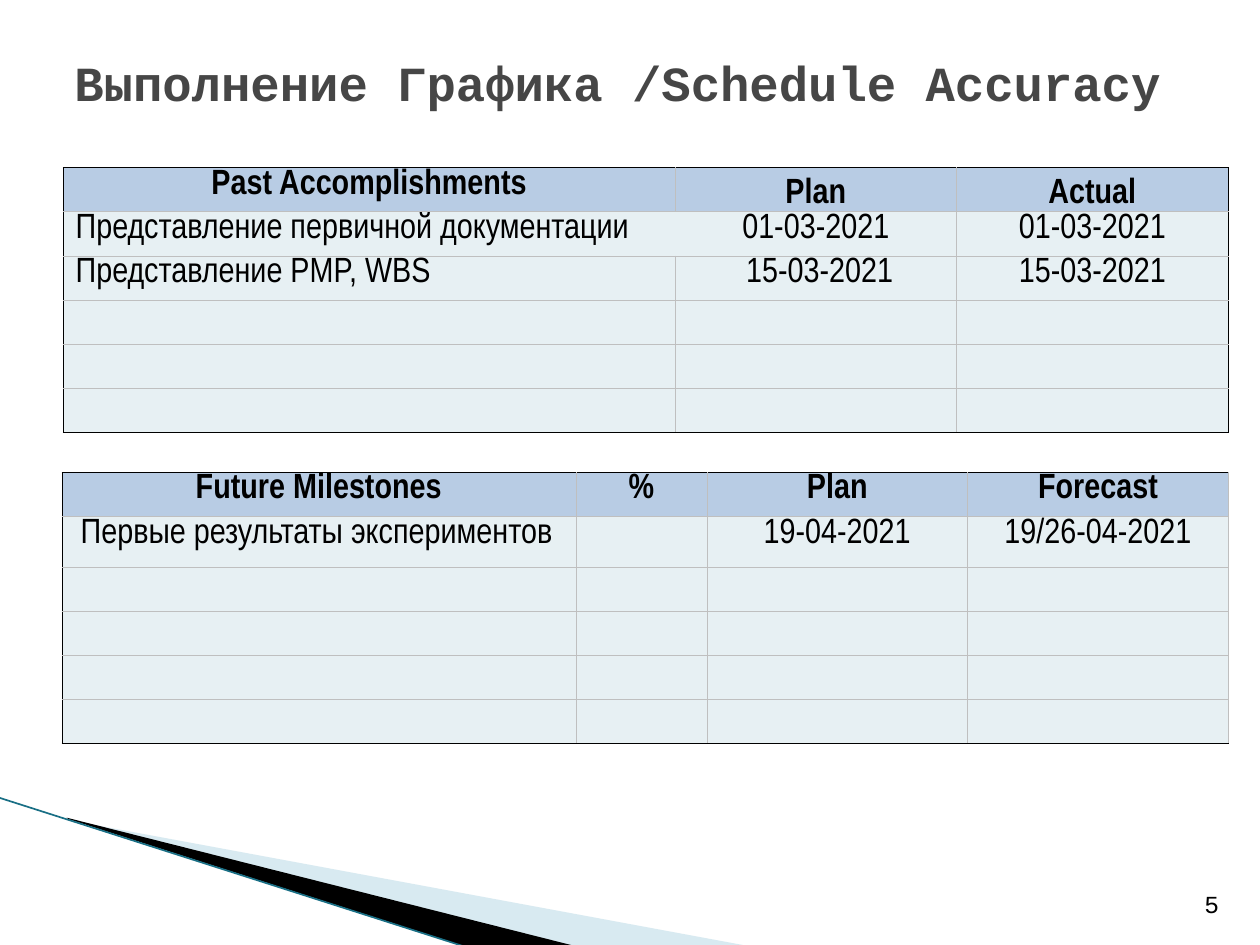
from dataclasses import dataclass

from lxml import etree
from pptx import Presentation
from pptx import util as u
from pptx.dml.color import RGBColor
from pptx.enum import shapes, text
from pptx.oxml.ns import qn

PX = 9144  # EMU in one px, 100 px to the inch


@dataclass(frozen=True)
class Theme:
    title: str = "464646"
    ink: str = "000000"
    grid: str = "BFBFBF"
    header_fill: str = "B8CCE4"
    body_fill: str = "E7F0F3"
    pale_wedge: str = "9FCBDC"
    wedge_edge: str = "196F85"
    title_font: str = "Courier New"
    table_font: str = "Arial Narrow"
    title_size: int = 28
    table_size: int = 20
    number_size: int = 14
    grid_width: float = 0.23
    edge_width: float = 0.96


THEME = Theme()
LEFT, CENTER = text.PP_ALIGN.LEFT, text.PP_ALIGN.CENTER
TOP, BOTTOM = text.MSO_ANCHOR.TOP, text.MSO_ANCHOR.BOTTOM


@dataclass(frozen=True)
class Entry:
    wording: str = ""
    align: text.PP_ALIGN = CENTER
    anchor: text.MSO_ANCHOR = TOP
    indent: int = 0


@dataclass(frozen=True)
class Schedule:
    left: int
    top: int
    columns: list[int]
    heights: list[int]
    entries: list[list[Entry]]
    right_edge: str
    open_joint: tuple[int, int] | None = None  # (row, column) with no line on its right


@dataclass(frozen=True)
class Wedge:
    points: list[tuple[int, int]]
    color: str
    opacity: int = 100


WEDGES = [
    Wedge([(55, 651), (595, 751), (456, 751), (55, 650)], THEME.pale_wedge, 40),
    Wedge([(53, 649), (457, 751), (372, 752), (54, 650)], THEME.ink),
]

ACCOMPLISHMENTS = Schedule(
    50, 133, [486, 223, 216], [35] * 6,
    [
        [Entry("Past Accomplishments"), Entry("Plan", anchor=BOTTOM), Entry("Actual", anchor=BOTTOM)],
        [Entry("Представление первичной документации", LEFT), Entry("01-03-2021"), Entry("01-03-2021")],
        [Entry("Представление PMP, WBS", LEFT), Entry("15-03-2021", indent=6), Entry("15-03-2021")],
    ],
    right_edge=THEME.ink, open_joint=(1, 0),
)

MILESTONES = Schedule(
    49, 375, [408, 104, 207, 207], [35, 40, 35, 35, 35, 35],
    [
        [Entry("Future Milestones"), Entry("%"), Entry("Plan"), Entry("Forecast")],
        [Entry("Первые результаты экспериментов", LEFT, indent=5), Entry(),
         Entry("19-04-2021"), Entry("19/26-04-2021")],
    ],
    right_edge=THEME.grid,
)


def rgb(color: str) -> RGBColor:
    return RGBColor.from_string(color)


def style_text(paragraph, font: str, size: int, color: str, bold: bool = False) -> None:
    for run in paragraph.runs:
        run.font.name, run.font.size, run.font.bold = font, u.Pt(size), bold
        run.font.color.rgb = rgb(color)


def set_border(cell, side: str, color: str | None) -> None:
    line = etree.SubElement(cell._tc.get_or_add_tcPr(), qn(f"a:ln{side}"),
                            w=str(int(u.Pt(THEME.grid_width))))
    if color is None:
        etree.SubElement(line, qn("a:noFill"))
    else:
        fill = etree.SubElement(line, qn("a:solidFill"))
        etree.SubElement(fill, qn("a:srgbClr"), val=color)


def add_wedge(slide, wedge: Wedge) -> None:
    start, *rest = wedge.points
    builder = slide.shapes.build_freeform(*start, scale=PX)
    builder.add_line_segments(rest, close=True)
    shape = builder.convert_to_shape()
    shape.shadow.inherit = False
    shape.line.fill.background()
    shape.fill.solid()
    shape.fill.fore_color.rgb = rgb(wedge.color)
    if wedge.opacity < 100:
        color = shape._element.spPr.find(f"{qn('a:solidFill')}/{qn('a:srgbClr')}")
        etree.SubElement(color, qn("a:alpha"), val=str(wedge.opacity * 1000))


def add_wedge_edge(slide) -> None:
    edge = slide.shapes.add_connector(shapes.MSO_CONNECTOR.STRAIGHT,
                                      -1 * PX, 633 * PX, 371 * PX, 752 * PX)
    edge.line.color.rgb = rgb(THEME.wedge_edge)
    edge.line.width = u.Pt(THEME.edge_width)
    etree.SubElement(edge._element.spPr, qn("a:effectLst"))


def fill_cell(cell, entry: Entry, is_header: bool) -> None:
    cell.fill.solid()
    cell.fill.fore_color.rgb = rgb(THEME.header_fill if is_header else THEME.body_fill)
    cell.margin_left, cell.margin_right = (10 + entry.indent) * PX, 10 * PX
    cell.margin_top = cell.margin_bottom = 2 * PX
    cell.vertical_anchor = entry.anchor
    if entry.wording:
        paragraph = cell.text_frame.paragraphs[0]
        paragraph.text = entry.wording
        paragraph.alignment = entry.align
        paragraph.line_spacing = 0.91
        paragraph.space_before = u.Pt(9)
        style_text(paragraph, THEME.table_font, THEME.table_size, THEME.ink, is_header)


def add_schedule(slide, schedule: Schedule) -> None:
    rows, columns = len(schedule.heights), len(schedule.columns)
    table = slide.shapes.add_table(
        rows, columns, schedule.left * PX, schedule.top * PX,
        sum(schedule.columns) * PX, sum(schedule.heights) * PX).table
    for column, width in zip(table.columns, schedule.columns):
        column.width = width * PX
    for row, height in zip(table.rows, schedule.heights):
        row.height = height * PX

    blank_rows = [[Entry()] * columns] * (rows - len(schedule.entries))
    for r, entries in enumerate(schedule.entries + blank_rows):
        for c, entry in enumerate(entries):
            borders = {
                "L": THEME.ink if c == 0 else THEME.grid,
                "R": schedule.right_edge if c == columns - 1 else THEME.grid,
                "T": THEME.ink if r == 0 else THEME.grid,
                "B": THEME.ink if r == rows - 1 else THEME.grid,
            }
            if (r, c) == schedule.open_joint:
                borders["R"] = None
            if (r, c - 1) == schedule.open_joint:
                borders["L"] = None
            cell = table.cell(r, c)
            for side, color in borders.items():
                set_border(cell, side, color)
            fill_cell(cell, entry, is_header=r == 0)


def set_title(slide, wording: str) -> None:
    title = slide.shapes.title
    title.left, title.top, title.width, title.height = (v * PX for v in (50, 30, 900, 70))
    frame = title.text_frame
    frame.text = wording
    frame.margin_left = frame.margin_right = 9 * PX
    frame.margin_top = frame.margin_bottom = 4 * PX
    frame.vertical_anchor = text.MSO_ANCHOR.MIDDLE
    frame.auto_size = text.MSO_AUTO_SIZE.NONE
    frame.paragraphs[0].alignment = LEFT
    style_text(frame.paragraphs[0], THEME.title_font, THEME.title_size, THEME.title, True)


def add_page_number(slide, number: str) -> None:
    frame = slide.shapes.add_textbox(946 * PX, 701 * PX, 40 * PX, 40 * PX).text_frame
    frame.word_wrap = True
    frame.text = number
    frame.paragraphs[0].space_before = u.Pt(9)
    style_text(frame.paragraphs[0], THEME.title_font, THEME.number_size, THEME.ink)


def main() -> None:
    deck = Presentation()
    deck.slide_width, deck.slide_height = 1000 * PX, 750 * PX
    slide = deck.slides.add_slide(deck.slide_layouts[5])
    for wedge in WEDGES:
        add_wedge(slide, wedge)
    add_wedge_edge(slide)
    set_title(slide, "Выполнение Графика /Schedule Accuracy")
    for schedule in (ACCOMPLISHMENTS, MILESTONES):
        add_schedule(slide, schedule)
    add_page_number(slide, "5")
    deck.save("out.pptx")


if __name__ == "__main__":
    main()
